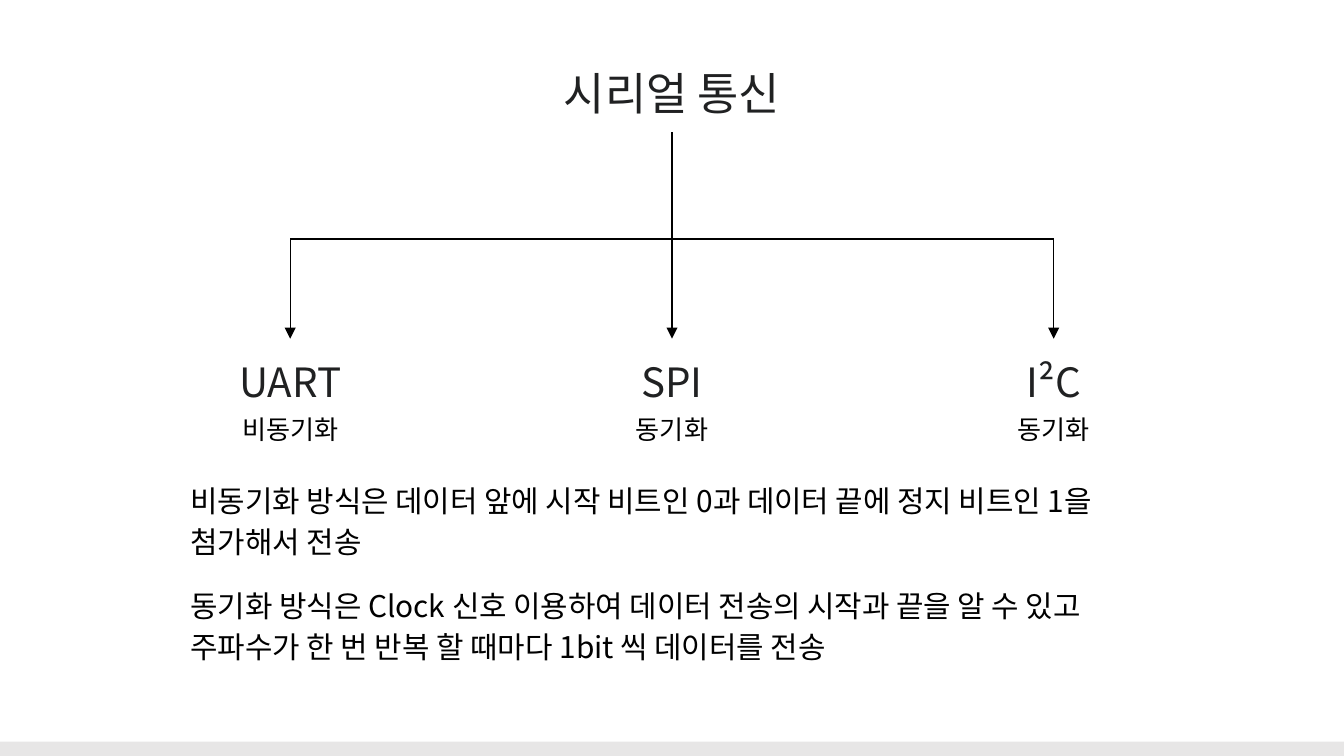
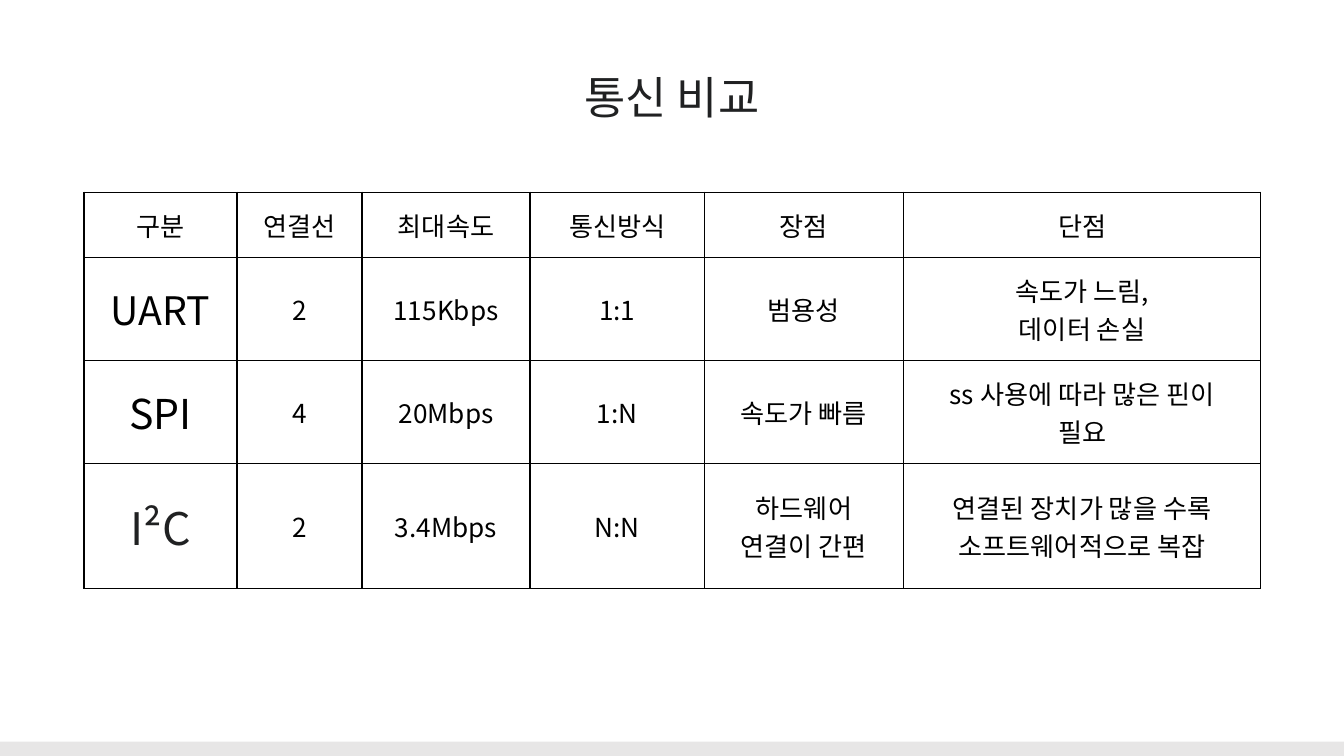
from lxml import etree
from pptx import Presentation
from pptx.dml.color import RGBColor
from pptx.enum.shapes import MSO_CONNECTOR, MSO_SHAPE
from pptx.enum.text import MSO_ANCHOR, MSO_AUTO_SIZE, PP_ALIGN
from pptx.oxml import parse_xml
from pptx.oxml.ns import nsdecls, qn
from pptx.util import Pt

CENTER, LEFT = PP_ALIGN.CENTER, PP_ALIGN.LEFT
TOP, MIDDLE, BOTTOM = MSO_ANCHOR.TOP, MSO_ANCHOR.MIDDLE, MSO_ANCHOR.BOTTOM
FIT_SHAPE, NO_FIT = MSO_AUTO_SIZE.SHAPE_TO_FIT_TEXT, MSO_AUTO_SIZE.NONE
STRAIGHT, RECTANGLE = MSO_CONNECTOR.STRAIGHT, MSO_SHAPE.RECTANGLE
SIDE_TOP, SIDE_BOTTOM = 0, 2

THEME = {
    "font": "Noto Sans CJK KR",
    "white": "FFFFFF", "black": "000000", "heading": "202122", "band": "E7E6E6",
    "title_size": 24, "protocol_size": 21.6, "body_size": 16, "label_size": 14,
    "line": 0.75, "inset": 7.2,
}
WIDTH, HEIGHT = 720, 405
CENTER_X = WIDTH / 2
TITLE_WIDTH, TITLE_HEIGHT = 169, 43
MARGINS = {f"margin_{side}": Pt(THEME["inset"])
           for side in ("left", "top", "right", "bottom")}


def write_text(frame, lines, size, color=THEME["black"], align=CENTER, **spacing):
    """Fill a text frame with one paragraph per line, styled alike."""
    for index, line in enumerate(lines):
        paragraph = frame.paragraphs[0] if index == 0 else frame.add_paragraph()
        for name, value in {"alignment": align, **spacing}.items():
            setattr(paragraph, name, value)
        run = paragraph.add_run()
        run.text = line
        for name, value in {"name": THEME["font"], "size": Pt(size)}.items():
            setattr(run.font, name, value)
        run.font.color.rgb = RGBColor.from_string(color)
        east_asian = etree.SubElement(run.font._element, qn("a:ea"))
        east_asian.set("typeface", THEME["font"])


def add_text(slide, box, lines, size, anchor=TOP, fit=FIT_SHAPE, **text_format):
    shape = slide.shapes.add_textbox(*map(Pt, box))
    frame_format = {"word_wrap": True, "auto_size": fit,
                    "vertical_anchor": anchor, **MARGINS}
    for name, value in frame_format.items():
        setattr(shape.text_frame, name, value)
    write_text(shape.text_frame, lines, size, **text_format)
    return shape


presentation = Presentation()
presentation.slide_width, presentation.slide_height = Pt(WIDTH), Pt(HEIGHT)

# Both slides: background, footer band and title
heading_format = {"anchor": BOTTOM, "fit": NO_FIT, "color": THEME["heading"]}
slides, titles = [], []
for title, title_top in (("시리얼 통신", 28), ("통신 비교", 30.25)):
    slide = presentation.slides.add_slide(presentation.slide_layouts[6])
    slide.background.fill.solid()
    slide.background.fill.fore_color.rgb = RGBColor.from_string(THEME["white"])
    band = slide.shapes.add_shape(RECTANGLE, 0, Pt(397.25), Pt(WIDTH), Pt(7.75))
    band.shadow.inherit = False
    band.fill.solid()
    band.fill.fore_color.rgb = RGBColor.from_string(THEME["band"])
    band.line.fill.background()
    box = (CENTER_X - TITLE_WIDTH / 2, title_top, TITLE_WIDTH, TITLE_HEIGHT)
    titles.append(add_text(slide, box, [title], THEME["title_size"], **heading_format))
    slides.append(slide)
tree_slide, comparison_slide = slides

# Slide 1: tree of serial protocols
COLUMN_STEP, BUS_TOP, PROTOCOL_TOP = 204.5, 128, 181.5
protocols = [("UART", "비동기화", 82), ("SPI", "동기화", 62.5), ("I²C", "동기화", 62.5)]
centers = [CENTER_X + (index - 1) * COLUMN_STEP for index in range(len(protocols))]

trunk = tree_slide.shapes.add_connector(
    STRAIGHT, Pt(CENTER_X), Pt(71), Pt(CENTER_X), Pt(BUS_TOP))
trunk.begin_connect(titles[0], SIDE_BOTTOM)
bus = tree_slide.shapes.add_connector(
    STRAIGHT, Pt(centers[0]), Pt(BUS_TOP), Pt(centers[-1]), Pt(BUS_TOP))
branches = []
for center, (protocol, timing, timing_width) in zip(centers, protocols):
    box = (center - TITLE_WIDTH / 2, PROTOCOL_TOP, TITLE_WIDTH, TITLE_HEIGHT)
    protocol_shape = add_text(tree_slide, box, [protocol],
                              THEME["protocol_size"], **heading_format)
    box = (center - timing_width / 2, 214.5, timing_width, 31.75)
    add_text(tree_slide, box, [timing], THEME["label_size"])
    branch = tree_slide.shapes.add_connector(
        STRAIGHT, Pt(center), Pt(BUS_TOP), Pt(center), Pt(PROTOCOL_TOP))
    branch.end_connect(protocol_shape, SIDE_TOP)
    branches.append(branch)

for connector in (trunk, bus, *branches):
    connector.line.width = Pt(THEME["line"])
    connector.line.color.rgb = RGBColor.from_string(THEME["black"])
    if connector in branches:
        etree.SubElement(connector.line._get_or_add_ln(), qn("a:tailEnd"), type="triangle")
    etree.SubElement(connector._element.spPr, qn("a:effectLst"))

explanations = [
    "비동기화 방식은 데이터 앞에 시작 비트인 0과 데이터 끝에 정지 비트인 1을 첨가해서 전송",
    "동기화 방식은 Clock 신호 이용하여 데이터 전송의 시작과 끝을 알 수 있고 "
    "주파수가 한 번 반복 할 때마다 1bit 씩 데이터를 전송",
]
add_text(tree_slide, (95, 248.5, 530, 128), explanations, THEME["body_size"],
         align=LEFT, line_spacing=1.15, space_after=Pt(12))

# Slide 2: comparison table
column_widths = [82, 67, 90, 93.5, 106.5, 191.5]
row_heights = [26, 37.5, 49, 67]
rows = [
    ["구분", "연결선", "최대속도", "통신방식", "장점", "단점"],
    ["UART", "2", "115Kbps", "1:1", "범용성", "속도가 느림,\n데이터 손실"],
    ["SPI", "4", "20Mbps", "1:N", "속도가 빠름", "ss 사용에 따라 많은 핀이\n필요"],
    ["I²C", "2", "3.4Mbps", "N:N", "하드웨어 연결이 간편",
     "연결된 장치가 많을 수록\n소프트웨어적으로 복잡"],
]
name_formats = {"UART": (21, THEME["black"]), "SPI": (22, THEME["black"]),
                "I²C": (24, THEME["heading"])}
table = comparison_slide.shapes.add_table(
    len(rows), len(column_widths), Pt(45), Pt(103),
    Pt(sum(column_widths)), Pt(sum(row_heights))).table
table.first_row = table.horz_banding = False
for column, width in zip(table.columns, column_widths):
    column.width = Pt(width)
for row, height in zip(table.rows, row_heights):
    row.height = Pt(height)

for row_index, row in enumerate(rows):
    for column_index, text in enumerate(row):
        cell = table.cell(row_index, column_index)
        for name, value in {"vertical_anchor": MIDDLE, **MARGINS}.items():
            setattr(cell, name, value)
        size, color = name_formats.get(text, (THEME["label_size"], THEME["black"]))
        write_text(cell.text_frame, text.split("\n"), size, color)
        for side in "LRTB":
            cell._tc.get_or_add_tcPr().append(parse_xml(
                f'<a:ln{side} {nsdecls("a")} w="{Pt(THEME["line"])}"><a:solidFill>'
                f'<a:srgbClr val="{THEME["black"]}"/></a:solidFill></a:ln{side}>'))
        cell.fill.background()

presentation.save("out.pptx")
